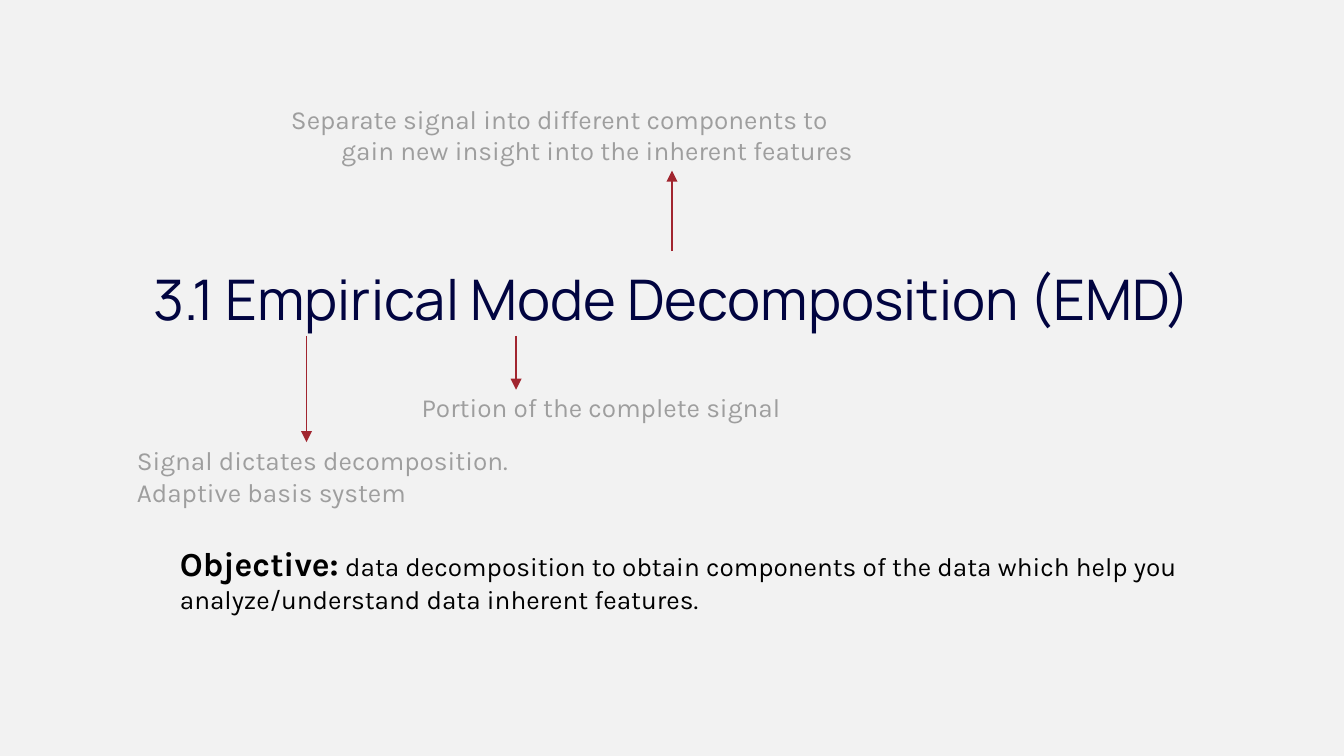
from dataclasses import dataclass

from lxml import etree
from pptx import Presentation
from pptx import util as u
from pptx.dml.color import RGBColor
from pptx.enum import shapes, text
from pptx.oxml import ns


@dataclass(frozen=True)
class Theme:
    background: str = "F2F2F2"
    navy: str = "010440"
    grey: str = "9E9E9E"
    black: str = "000000"
    red: str = "A1252F"
    heading_font: str = "Manrope"
    body_font: str = "Karla"
    title_size: float = 30
    lead_size: float = 18
    body_size: float = 14
    arrow_width: float = 0.75


class SlideBuilder:
    def __init__(self, page, theme):
        self.page = page
        self.theme = theme
        fill = page.background.fill
        fill.solid()
        fill.fore_color.rgb = RGBColor.from_string(theme.background)

    def style(self, font, name, size, color, bold=False):
        for key, value in {"name": name, "size": u.Pt(size), "bold": bold}.items():
            setattr(font, key, value)
        font.color.rgb = RGBColor.from_string(color)

    def frame(self, box, inset):
        values = {
            "word_wrap": True,
            "auto_size": text.MSO_AUTO_SIZE.NONE,
            "vertical_anchor": text.MSO_ANCHOR.TOP,
            "margin_left": u.Pt(7.2),
            "margin_right": u.Pt(7.2),
            "margin_top": u.Pt(inset),
            "margin_bottom": u.Pt(inset),
        }
        for key, value in values.items():
            setattr(box.text_frame, key, value)
        return box.text_frame

    def place(self, box, area):
        for key, value in zip(("left", "top", "width", "height"), area):
            setattr(box, key, u.Pt(value))

    def title(self, words, area):
        box = self.page.shapes.title
        self.place(box, area)
        para = self.frame(box, 7.2).paragraphs[0]
        para.alignment = text.PP_ALIGN.CENTER
        span = para.add_run()
        span.text = words
        self.style(span.font, self.theme.heading_font, self.theme.title_size, self.theme.navy)

    def note(self, index, words, area, align):
        """Fill a body placeholder with one unbulleted, hanging-indent paragraph."""
        box = self.page.placeholders[index]
        self.place(box, area)
        para = self.frame(box, 7.2).paragraphs[0]
        properties = para._p.get_or_add_pPr()
        properties.set("marL", str(u.Pt(36)))
        properties.set("indent", str(u.Pt(-27)))
        etree.SubElement(properties, ns.qn("a:buNone"))
        para.alignment = align
        para.space_before = u.Pt(0)
        span = para.add_run()
        span.text = words
        self.style(span.font, self.theme.body_font, self.theme.body_size, self.theme.grey)

    def text_box(self, paragraphs, area):
        """Add paragraphs, each a list of (words, size, color, bold) spans."""
        box = self.page.shapes.add_textbox(*map(u.Pt, area))
        frame = self.frame(box, 3.6)
        for number, spans in enumerate(paragraphs):
            para = frame.add_paragraph() if number else frame.paragraphs[0]
            for words, size, color, bold in spans:
                span = para.add_run()
                span.text = words
                self.style(span.font, self.theme.body_font, size, color, bold)

    def arrow(self, x, start, end):
        line = self.page.shapes.add_connector(
            shapes.MSO_CONNECTOR.STRAIGHT, *map(u.Pt, (x, start, x, end)))
        line.line.width = u.Pt(self.theme.arrow_width)
        line.line.color.rgb = RGBColor.from_string(self.theme.red)
        etree.SubElement(line.line._get_or_add_ln(), ns.qn("a:tailEnd"), type="triangle")
        etree.SubElement(line._element.spPr, ns.qn("a:effectLst"))


def main():
    theme = Theme()
    deck = Presentation()
    deck.slide_width, deck.slide_height = u.Pt(720), u.Pt(405)
    two_content = deck.slide_layouts[3]
    slide = SlideBuilder(deck.slides.add_slide(two_content), theme)

    title_top, title_bottom = 134.6, 180
    slide.title("3.1 Empirical Mode Decomposition (EMD)",
                (56.9, title_top, 607, title_bottom - title_top))
    slide.note(1, "Separate signal into different components to gain new insight "
               "into the inherent features", (139.7, 48.2, 336.2, 45.4), text.PP_ALIGN.LEFT)
    slide.note(2, "Portion of the complete signal",
               (208.1, 202.3, 218.9, 45.4), text.PP_ALIGN.CENTER)

    for x, start, end in ((360, title_top, 91.4),
                          (164.2, title_bottom, 236.9),
                          (276.5, title_bottom, 208.8)):
        slide.arrow(x, start, end)

    basis = ("Signal dictates decomposition.", "Adaptive basis system")
    slide.text_box([[(words, theme.body_size, theme.grey, False)] for words in basis],
                   (66.2, 234.7, 289.4, 41))
    slide.text_box([[
        ("Objective:", theme.lead_size, theme.black, True),
        (" data decomposition to obtain components of the data which help you "
         "analyze/understand data inherent features.", theme.body_size, theme.black, False),
    ]], (89.3, 287.3, 574.6, 46.1))
    deck.save("out.pptx")


if __name__ == "__main__":
    main()
